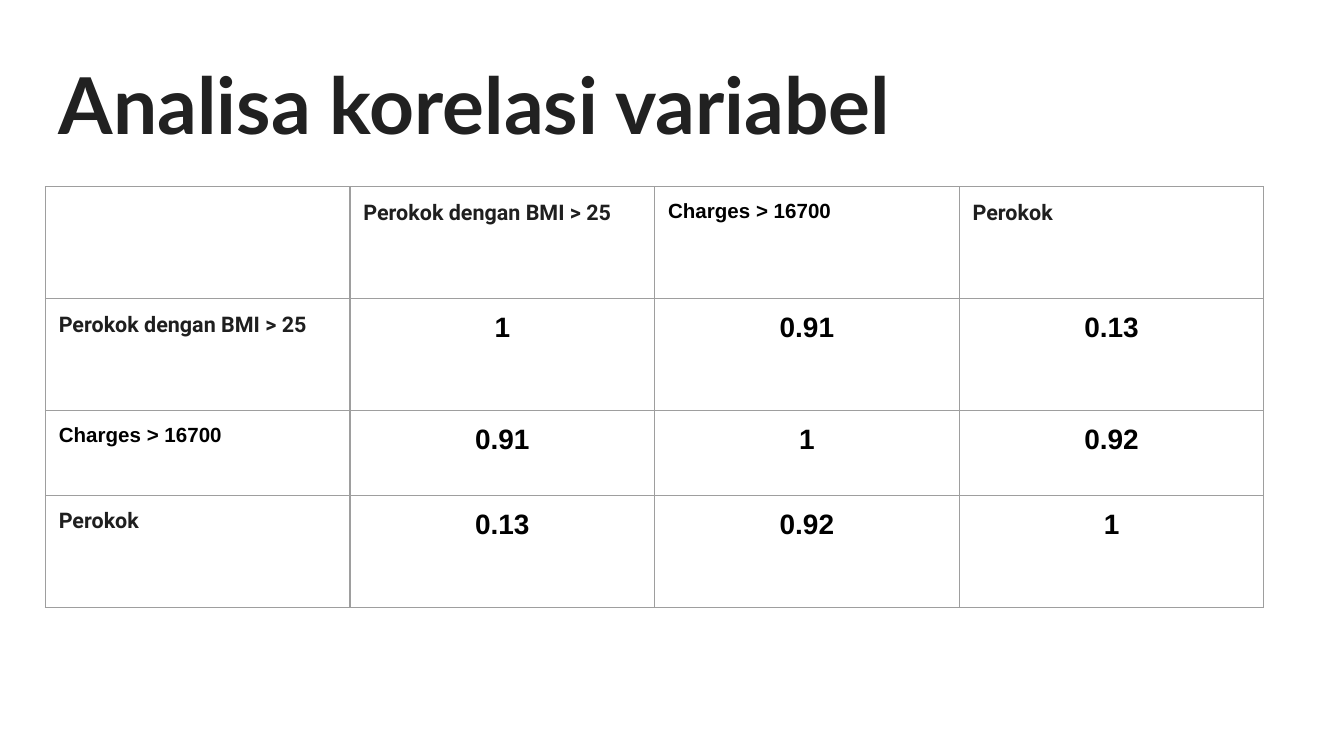
import dataclasses

import pptx
import pptx.dml.color
import pptx.enum.text
import pptx.oxml
import pptx.oxml.ns
import pptx.util

Pt = pptx.util.Pt
RGB = pptx.dml.color.RGBColor.from_string
ALIGN = pptx.enum.text.PP_ALIGN


@dataclasses.dataclass(frozen=True)
class Theme:
    """Colours, borders and text formats of the slide."""
    background: str = "FFFFFF"
    border: str = "9E9E9E"
    border_width: float = 0.75
    inset: float = 7.2
    title: tuple = ("Lato", 42, "212121")
    smoker: tuple = ("Roboto", 11.5, "1F1F1F")
    charges: tuple = ("Arial", 11, "000000")
    coefficient: tuple = ("Arial", 15, "000000")


THEME = Theme()
VARIABLES = [
    ("Perokok dengan BMI > 25", THEME.smoker),
    ("Charges > 16700", THEME.charges),
    ("Perokok", THEME.smoker),
]
CORRELATIONS = [
    ("1", "0.91", "0.13"),
    ("0.91", "1", "0.92"),
    ("0.13", "0.92", "1"),
]
ROW_HEIGHTS = (60, 60, 45.5, 60)


def set_values(target, values):
    """Set each named attribute of the target."""
    for name, value in values.items():
        setattr(target, name, value)


def write(frame, text, style, align=ALIGN.LEFT):
    """Write one bold line of text in the given style."""
    family, size, colour = style
    paragraph = frame.paragraphs[0]
    paragraph.alignment = align
    run = paragraph.add_run()
    run.text = text
    set_values(run.font, {"name": family, "size": Pt(size), "bold": True})
    run.font.color.rgb = RGB(colour)


def margins():
    """Return equal insets for all four sides."""
    return {f"margin_{side}": Pt(THEME.inset)
            for side in ("left", "top", "right", "bottom")}


def outline(cell):
    """Give a cell a thin border on each side and no fill."""
    cell.fill.background()
    properties = cell._tc.get_or_add_tcPr()
    for position, side in enumerate(("lnL", "lnR", "lnT", "lnB")):
        properties.insert(position, pptx.oxml.parse_xml(
            f'<a:{side} {pptx.oxml.ns.nsdecls("a")} w="{Pt(THEME.border_width)}">'
            f'<a:solidFill><a:srgbClr val="{THEME.border}"/></a:solidFill>'
            f'</a:{side}>'))


def add_heading(slide, left, top, width, height):
    """Place the slide heading in the given box."""
    frame = slide.shapes.add_textbox(
        Pt(left), Pt(top), Pt(width), Pt(height)).text_frame
    set_values(frame, {"word_wrap": True, **margins()})
    write(frame, "Analisa korelasi variabel", THEME.title)


def add_correlation_matrix(slide, left, top, width, height):
    """Place the correlation table in the given box."""
    count = len(VARIABLES) + 1
    matrix = slide.shapes.add_table(
        count, count, Pt(left), Pt(top), Pt(width), Pt(height)).table
    set_values(matrix, {"first_row": False, "horz_banding": False})
    for column in matrix.columns:
        column.width = Pt(width / count)
    for row, share in zip(matrix.rows, ROW_HEIGHTS):
        row.height = Pt(height * share / sum(ROW_HEIGHTS))
    for cell in matrix.iter_cells():
        set_values(cell, margins())
        outline(cell)
    for index, (label, style) in enumerate(VARIABLES, start=1):
        write(matrix.cell(0, index).text_frame, label, style)
        write(matrix.cell(index, 0).text_frame, label, style)
        for column, value in enumerate(CORRELATIONS[index - 1], start=1):
            write(matrix.cell(index, column).text_frame, value,
                  THEME.coefficient, ALIGN.CENTER)


def main():
    """Build and save the presentation."""
    deck = pptx.Presentation()
    set_values(deck, {"slide_width": Pt(720), "slide_height": Pt(405)})
    slide = deck.slides.add_slide(deck.slide_layouts[6])
    slide.background.fill.solid()
    slide.background.fill.fore_color.rgb = RGB(THEME.background)
    add_heading(slide, 24.5, 23, 671, 63.5)
    add_correlation_matrix(slide, 24.3, 100, 652.8, sum(ROW_HEIGHTS))
    deck.save("out.pptx")


if __name__ == "__main__":
    main()
